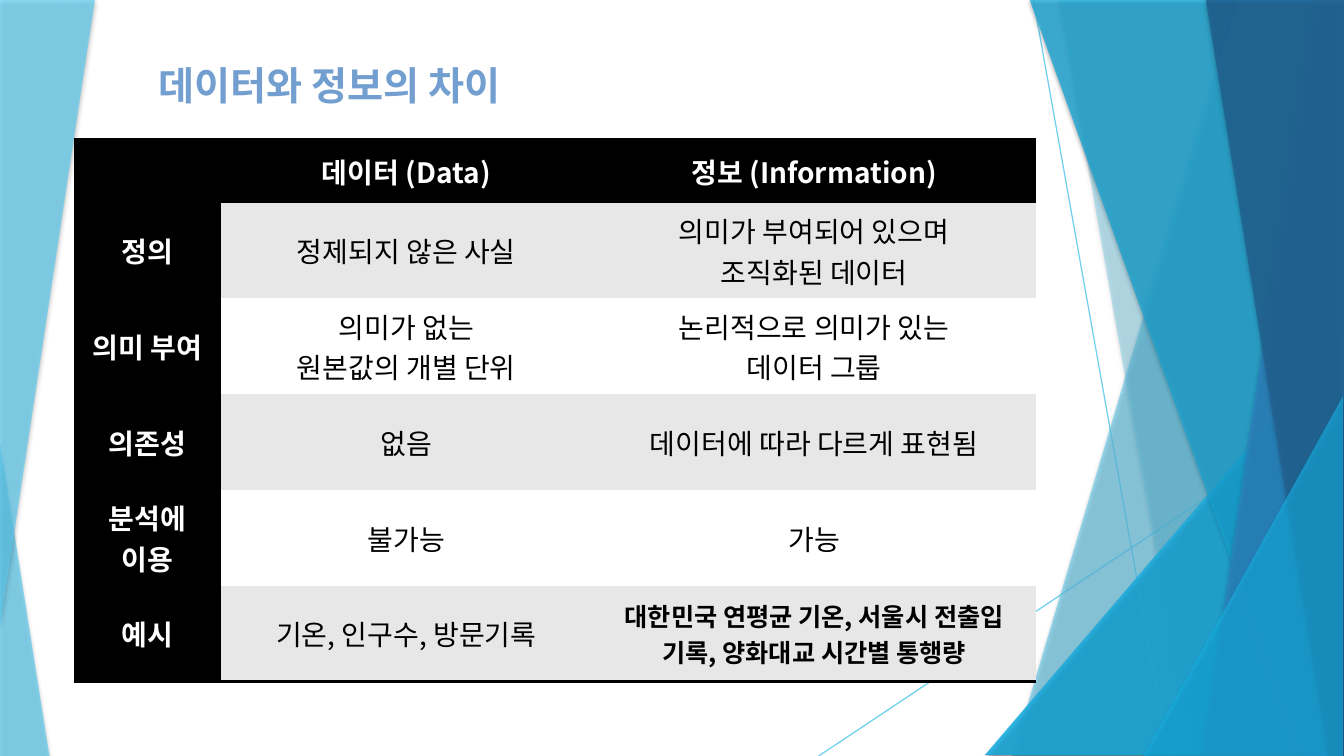
from lxml.etree import SubElement
from pptx import Presentation
from pptx.dml.color import RGBColor
from pptx.enum.shapes import MSO_CONNECTOR as Connector, MSO_SHAPE as Shape
from pptx.enum.text import MSO_ANCHOR as Anchor, PP_ALIGN as Align
from pptx.oxml.ns import qn
from pptx.util import Inches, Pt

FONT = "Noto Sans CJK KR"
COLORS = {
    "sky": "5FCBEF", "cyan": "17B0E4", "blue": "2E83C3", "navy": "226292",
    "title": "729FCF", "black": "000000", "white": "FFFFFF", "band": "E7E7E7",
}
LINES = [((10.25, 0), (11.59, 7.5)), ((13.33, 4.03), (8.12, 7.5))]
FACETS = [
    ("sky", 36, [(12.28, -0.01), (13.33, -0.01), (13.33, 7.5), (10.04, 7.5)]),
    ("sky", 20, [(10.5, -0.01), (13.33, -0.01), (13.33, 7.5), (11.82, 7.5)]),
    ("cyan", 66, (9.77, 3.33, 3.56, 4.16)),
    ("cyan", 50, [(10.21, -0.01), (13.33, -0.01), (13.33, 7.5), (12.91, 7.5)]),
    ("blue", 70, [(13.03, -0.01), (13.33, -0.01), (13.33, 7.5), (11.92, 7.5)]),
    ("navy", 80, [(11.96, -0.01), (13.33, -0.01), (13.33, 7.5), (13.17, 7.5)]),
    ("cyan", 66, (11.34, 3.93, 1.98, 3.57)),
]
LEFT_FACET = [(0, 0), (0.94, -0.01), (0.94, 0.01), (0, 6.22)]
COLUMNS = [1.46, 3.68, 4.41]
ROWS = [0.63] + [0.95] * 5
CELLS = [
    ["", "데이터 (Data)", "정보 (Information)"],
    ["정의", "정제되지 않은 사실", "의미가 부여되어 있으며\n조직화된 데이터"],
    ["의미 부여", "의미가 없는\n원본값의 개별 단위", "논리적으로 의미가 있는\n데이터 그룹"],
    ["의존성", "없음", "데이터에 따라 다르게 표현됨"],
    ["분석에\n이용", "불가능", "가능"],
    ["예시", "기온, 인구수, 방문기록",
     "대한민국 연평균 기온, 서울시 전출입 기록, 양화대교 시간별 통행량"],
]


def color(name):
    """Return the named colour."""
    return RGBColor.from_string(COLORS[name])


def apply_format(target, values):
    """Set every attribute in a dict of format values."""
    for name, value in values.items():
        setattr(target, name, value)


def set_alpha(shape, percent):
    """Make the solid colour of a shape or line translucent."""
    for element in shape._element.spPr.iter(qn("a:srgbClr")):
        SubElement(element, qn("a:alpha"), val=str(percent * 1000))


def add_shadow(shape):
    """Give a shape a soft shadow below it."""
    effects = SubElement(shape._element.spPr, qn("a:effectLst"))
    shadow = SubElement(effects, qn("a:outerShdw"), blurRad=str(Pt(3)),
                        dist=str(Pt(2)), dir="5400000", rotWithShape="0")
    black = SubElement(shadow, qn("a:srgbClr"), val=COLORS["black"])
    SubElement(black, qn("a:alpha"), val="35000")


def add_facet(slide, fill, alpha, outline, apex=1):
    """Add a translucent polygon from points or a right triangle from a box."""
    if isinstance(outline, tuple):
        shape = slide.shapes.add_shape(Shape.ISOSCELES_TRIANGLE, *map(Inches, outline))
        shape.adjustments[0] = apex
    else:
        points = [(Inches(x), Inches(y)) for x, y in outline]
        builder = slide.shapes.build_freeform(*points[0])
        builder.add_line_segments(points[1:], close=True)
        shape = builder.convert_to_shape()
    shape.fill.solid()
    shape.fill.fore_color.rgb = color(fill)
    shape.line.fill.background()
    set_alpha(shape, alpha)
    add_shadow(shape)


def add_right_facets(slide):
    """Draw the thin lines and overlapping facets on the right."""
    for start, end in LINES:
        line = slide.shapes.add_connector(Connector.STRAIGHT, *map(Inches, start + end))
        line.line.color.rgb = color("sky")
        line.line.width = Pt(0.75)
        set_alpha(line, 70)
        SubElement(line._element.spPr, qn("a:effectLst"))
    for facet in FACETS:
        add_facet(slide, *facet)


def add_backdrop(slide):
    """Layer the two sets of right facets around the left ones."""
    add_right_facets(slide)
    add_facet(slide, "sky", 70, (0, 4.39, 0.49, 3.11), apex=0)
    add_facet(slide, "sky", 70, LEFT_FACET)
    add_right_facets(slide)


def add_text(frame, text, size, fill, bold, align):
    """Write each line of text as a formatted paragraph."""
    frame.text = text
    for paragraph in frame.paragraphs:
        paragraph.alignment = align
        for run in paragraph.runs:
            apply_format(run.font, {"size": Pt(size), "bold": bold, "name": FONT})
            run.font.color.rgb = color(fill)
            SubElement(run._r.get_or_add_rPr(), qn("a:ea"), typeface=FONT)


def add_title(slide, left, top, width, height):
    """Place the title in its box."""
    title = slide.shapes.title
    apply_format(title, {"left": Inches(left), "top": Inches(top),
                         "width": Inches(width), "height": Inches(height)})
    frame = title.text_frame
    apply_format(frame, {"margin_left": 0, "margin_right": 0, "margin_top": 0,
                         "margin_bottom": 0, "word_wrap": True,
                         "vertical_anchor": Anchor.MIDDLE})
    add_text(frame, "데이터와 정보의 차이", 28, "title", True, Align.LEFT)
    frame.paragraphs[0].line_spacing = 0.9


def set_borders(cell, black_sides):
    """Draw black borders on the given sides and none elsewhere."""
    properties = cell._tc.get_or_add_tcPr()
    for side in "LRTB":
        border = SubElement(properties, qn(f"a:ln{side}"), w=str(Pt(2)))
        if side in black_sides:
            fill = SubElement(border, qn("a:solidFill"))
            SubElement(fill, qn("a:srgbClr"), val=COLORS["black"])
        else:
            SubElement(border, qn("a:noFill"))


def add_comparison(slide, left, top):
    """Build the table comparing data and information."""
    frame = slide.shapes.add_table(len(ROWS), len(COLUMNS), Inches(left), Inches(top),
                                   Inches(sum(COLUMNS)), Inches(sum(ROWS)))
    table = frame.table
    apply_format(table, {"first_row": False, "horz_banding": False})
    for column, width in zip(table.columns, COLUMNS):
        column.width = Inches(width)
    last = len(ROWS) - 1
    for i, texts in enumerate(CELLS):
        table.rows[i].height = Inches(ROWS[i])
        for j, text in enumerate(texts):
            cell = table.cell(i, j)
            margin = Inches(0.07)
            apply_format(cell, {"margin_left": margin, "margin_right": margin,
                                "margin_top": margin, "margin_bottom": margin,
                                "vertical_anchor": Anchor.MIDDLE})
            set_borders(cell, {0: "TB", last: "B"}.get(i, ""))
            heading = i == 0 or j == 0
            fill = "black" if heading else "band" if i % 2 else "white"
            cell.fill.solid()
            cell.fill.fore_color.rgb = color(fill)
            example = (i, j) == (last, 2)
            add_text(cell.text_frame, text, 18 if example else 20,
                     "white" if heading else "black", heading or example, Align.CENTER)


def main():
    """Create the presentation and save it."""
    presentation = Presentation()
    apply_format(presentation, {"slide_width": Inches(13.33),
                                "slide_height": Inches(7.5)})
    slide = presentation.slides.add_slide(presentation.slide_layouts[5])
    add_backdrop(slide)
    add_title(slide, 1.57, 0.37, 8.1, 1.01)
    add_comparison(slide, 0.73, 1.38)
    presentation.save("out.pptx")


if __name__ == "__main__":
    main()
